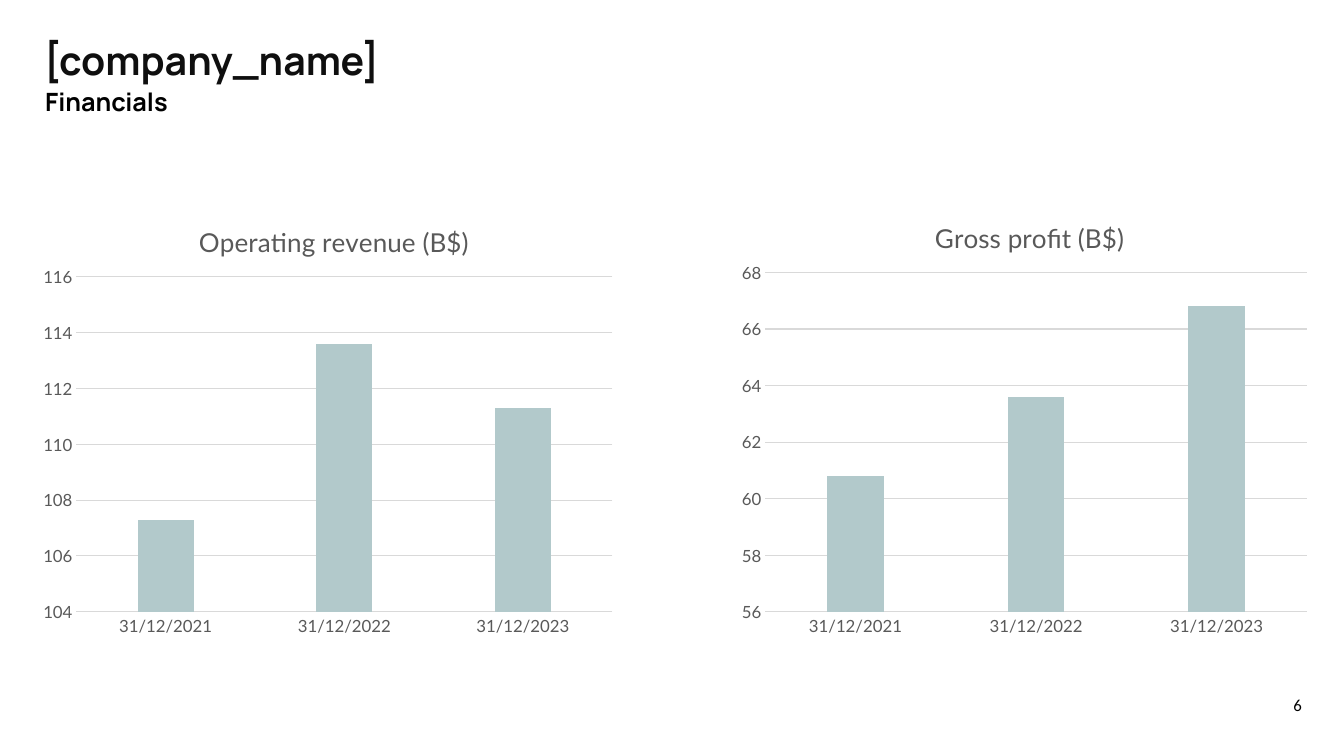
"""Build the financials slide with two column charts."""
import dataclasses

import pptx
import pptx.chart.data
import pptx.dml.color
import pptx.enum.chart
import pptx.enum.text
import pptx.oxml
import pptx.oxml.ns
import pptx.util

Inches = pptx.util.Inches
Pt = pptx.util.Pt
Align = pptx.enum.text.PP_ALIGN
Anchor = pptx.enum.text.MSO_ANCHOR


@dataclasses.dataclass(frozen=True)
class Theme:
    """Hold the colours, fonts and type sizes."""
    ink: str = "0F0F0F"
    black: str = "000000"
    grey: str = "595959"
    rule: str = "D9D9D9"
    bar: str = "B2C9CB"
    heading_font: str = "Manrope"
    chart_font: str = "Lato"
    number_font: str = "Calibri"
    heading: float = 28
    subheading: float = 18
    chart_title: float = 18.6
    small: float = 12
    rule_width: float = 0.75


def apply(target, values):
    """Set each attribute named in a dict of format values."""
    for name, value in values.items():
        setattr(target, name, value)


def rgb(value):
    """Turn a hex string into a colour."""
    return pptx.dml.color.RGBColor.from_string(value)


class SlideBuilder:
    """Add styled elements to one slide."""

    def __init__(self, slide, theme):
        """Keep the slide and its theme."""
        self.slide = slide
        self.theme = theme

    def style_font(self, font, name, size, color, bold=False):
        """Format a font."""
        apply(font, {"name": name, "size": Pt(size), "bold": bold})
        font.color.rgb = rgb(color)

    def style_line(self, line):
        """Give a line the thin rule style."""
        line.color.rgb = rgb(self.theme.rule)
        line.width = Pt(self.theme.rule_width)

    def add_text(self, text, box, font, paragraph_format, anchor=Anchor.TOP):
        """Add a one-paragraph text box."""
        shape = self.slide.shapes.add_textbox(*map(Inches, box))
        apply(shape.text_frame, {"word_wrap": True, "vertical_anchor": anchor})
        paragraph = shape.text_frame.paragraphs[0]
        apply(paragraph, paragraph_format)
        run = paragraph.add_run()
        run.text = text
        self.style_font(run.font, *font)

    def set_layout(self, parent, following, **layout):
        """Place a chart part by fractions of the chart area."""
        namespace = pptx.oxml.ns.nsdecls("c")
        modes = "".join(f'<c:{axis}Mode val="edge"/>' for axis in "xy")
        values = "".join(f'<c:{key} val="{value}"/>' for key, value in layout.items())
        target = '<c:layoutTarget val="inner"/>' if "w" in layout else ""
        element = pptx.oxml.parse_xml(
            f"<c:layout {namespace}><c:manualLayout>{target}{modes}{values}"
            "</c:manualLayout></c:layout>")
        for old in parent.findall(pptx.oxml.ns.qn("c:layout")):
            parent.remove(old)
        parent.find(pptx.oxml.ns.qn(following)).addprevious(element)

    def add_column_chart(self, title, left, values, scale, title_place, plot_place):
        """Add a column chart with a title and horizontal gridlines."""
        theme = self.theme
        data = pptx.chart.data.CategoryChartData()
        data.categories = [f"31/12/{year}" for year in (2021, 2022, 2023)]
        data.add_series("Series 1", values)
        box = map(Inches, (left, 1.95, 5.84, 4.43))
        chart = self.slide.shapes.add_chart(
            pptx.enum.chart.XL_CHART_TYPE.COLUMN_CLUSTERED, *box, data).chart
        self.style_font(chart.font, theme.chart_font, 10, theme.black)
        apply(chart, {"has_legend": False, "has_title": True})
        chart.chart_title.include_in_layout = False
        run = chart.chart_title.text_frame.paragraphs[0].add_run()
        run.text = title
        self.style_font(run.font, theme.chart_font, theme.chart_title, theme.grey)

        plot = chart.plots[0]
        apply(plot, {"gap_width": 219, "overlap": -27, "vary_by_categories": False})
        fill = plot.series[0].format.fill
        fill.solid()
        fill.fore_color.rgb = rgb(theme.bar)

        for axis in (chart.category_axis, chart.value_axis):
            no_tick = pptx.enum.chart.XL_TICK_MARK.NONE
            apply(axis, {"major_tick_mark": no_tick, "minor_tick_mark": no_tick})
            self.style_font(axis.tick_labels.font, theme.chart_font, theme.small, theme.grey)
        self.style_line(chart.category_axis.format.line)
        minimum, maximum = scale
        apply(chart.value_axis, {"minimum_scale": minimum, "maximum_scale": maximum,
                                 "major_unit": 2, "has_major_gridlines": True})
        chart.value_axis.format.line.fill.background()
        self.style_line(chart.value_axis.major_gridlines.format.line)
        apply(chart.value_axis.tick_labels,
              {"number_format": "0", "number_format_is_linked": False})

        self.set_layout(chart.chart_title._element, "c:overlay",
                        **dict(zip("xy", title_place)))
        self.set_layout(plot._element.getparent(), "c:barChart",
                        **dict(zip("xywh", plot_place)))


def main():
    """Build and save the presentation."""
    presentation = pptx.Presentation()
    apply(presentation, {"slide_width": Inches(13.33), "slide_height": Inches(7.5)})
    slide = presentation.slides.add_slide(presentation.slide_layouts[6])
    theme = Theme()
    builder = SlideBuilder(slide, theme)

    builder.add_text("6", (10.01, 6.79, 3, 0.4),
                     (theme.number_font, theme.small, theme.black),
                     {"alignment": Align.RIGHT}, Anchor.MIDDLE)
    heading_format = {"line_spacing": 0.9, "space_before": Pt(10)}
    builder.add_text("[company_name]", (0.34, 0.36, 11.26, 0.47),
                     (theme.heading_font, theme.heading, theme.ink, True), heading_format)
    builder.add_text("Financials", (0.35, 0.84, 3.29, 0.36),
                     (theme.heading_font, theme.subheading, theme.black, True),
                     heading_format)
    builder.add_column_chart("Operating revenue (B$)", 0.35, (107.3, 113.6, 111.3),
                             (104, 116), (0.27, 0.05), (0.07, 0.18, 0.91, 0.75))
    builder.add_column_chart("Gross profit (B$)", 7.24, (60.8, 63.6, 66.8),
                             (56, 68), (0.34, 0.04), (0.06, 0.17, 0.92, 0.76))
    presentation.save("out.pptx")


if __name__ == "__main__":
    main()
